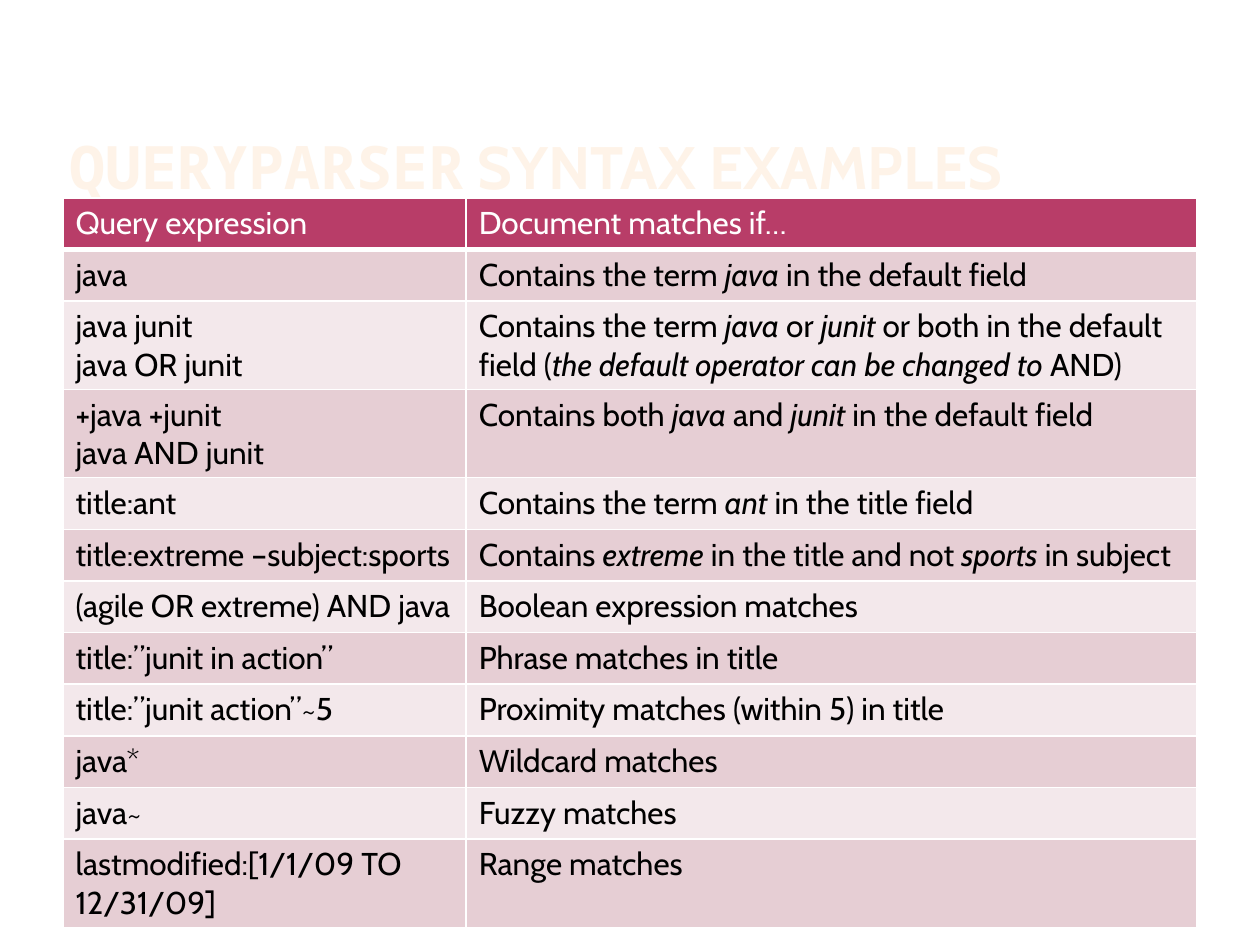
from pptx import Presentation
from pptx.dml.color import RGBColor
from pptx.enum.text import MSO_ANCHOR
from pptx.oxml import parse_xml
from pptx.oxml.ns import nsdecls
from pptx.util import Inches, Pt

WHITE = RGBColor(0xFF, 0xFF, 0xFF)
BLACK = RGBColor(0x00, 0x00, 0x00)
CREAM = RGBColor(0xFE, 0xF3, 0xE8)
BERRY = RGBColor(0xB8, 0x3D, 0x68)
ROSE = RGBColor(0xE6, 0xCE, 0xD4)
BLUSH = RGBColor(0xF3, 0xE8, 0xEB)

BODY_FONT = "Cabin"
CODE_FONT = "Noto Sans Mono"

# Underscores enclose italics, \n starts a paragraph, \v breaks a line
HEADINGS = ("Query expression", "Document matches if…")
EXAMPLES = [
    ("java", "Contains the term _java_ in the default field"),
    ("java junit\vjava OR junit",
     "Contains the term _java_ or _junit_ or both in the default field "
     "(_the default operator can be changed to _AND)"),
    ("+java +junit\njava AND junit",
     "Contains both _java_ and _junit_ in the default field"),
    ("title:ant", "Contains the term _ant_ in the title field"),
    ("title:extreme –subject:sports",
     "Contains _extreme_ in the title and not _sports_ in subject"),
    ("(agile OR extreme) AND java", "Boolean expression matches"),
    ("title:”junit in action”", "Phrase matches in title"),
    ("title:”junit action”~5", "Proximity matches (within 5) in title"),
    ("java*", "Wildcard matches"),
    ("java~", "Fuzzy matches"),
    ("lastmodified:[1/1/09 TO 12/31/09]", "Range matches"),
]


def add_span(para, text, font=BODY_FONT, size=18, color=BLACK, bold=False, italic=False):
    span = para.add_run()
    span.text = text
    span.font.name = font
    span.font.size = Pt(size)
    span.font.color.rgb = color
    span.font.bold = bold
    span.font.italic = italic


def write_text(frame, text, **style):
    """Write marked-up text into a frame."""
    for number, block in enumerate(text.split("\n")):
        para = frame.add_paragraph() if number else frame.paragraphs[0]
        for row, line in enumerate(block.split("\v")):
            if row:
                para.add_line_break()
            for index, part in enumerate(line.split("_")):
                if part:
                    add_span(para, part, italic=index % 2 == 1, **style)


class SlideBuilder:
    """Holds the deck and page; lengths are shares of the slide's size."""

    def __init__(self, width=10, height=7.5):
        self.deck = Presentation()
        self.deck.slide_width = Inches(width)
        self.deck.slide_height = Inches(height)
        self.page = self.deck.slides.add_slide(self.deck.slide_layouts[6])

    def across(self, share):
        return round(self.deck.slide_width * share)

    def down(self, share):
        return round(self.deck.slide_height * share)

    def title(self, spans, left, top, width, height, **style):
        box = self.page.shapes.add_textbox(
            self.across(left), self.down(top), self.across(width), self.down(height))
        frame = box.text_frame
        frame.word_wrap = True
        frame.vertical_anchor = MSO_ANCHOR.BOTTOM
        frame.margin_left = frame.margin_right = Inches(0.05)
        frame.margin_top = frame.margin_bottom = 0
        for text, font in spans:
            add_span(frame.paragraphs[0], text, font=font, **style)

    def table(self, rows, left, top, columns, row_height):
        table = self.page.shapes.add_table(
            len(rows), len(columns), self.across(left), self.down(top),
            self.across(sum(columns)), self.down(row_height * len(rows))).table
        for column, share in zip(table.columns, columns):
            column.width = self.across(share)
        for number, texts in enumerate(rows):
            header = number == 0
            fill = BERRY if header else (BLUSH, ROSE)[number % 2]
            for column, text in enumerate(texts):
                cell = table.cell(number, column)
                self.borders(cell, top=3 if number == 1 else 1, bottom=3 if header else 1)
                cell.fill.solid()
                cell.fill.fore_color.rgb = fill
                write_text(cell.text_frame, text, color=WHITE if header else BLACK)

    def borders(self, cell, top, bottom):
        properties = cell._tc.get_or_add_tcPr()
        for side, width in (("L", 1), ("R", 1), ("T", top), ("B", bottom)):
            properties.append(parse_xml(
                f'<a:ln{side} {nsdecls("a")} w="{Pt(width)}"><a:solidFill>'
                f'<a:srgbClr val="{WHITE}"/></a:solidFill></a:ln{side}>'))


def main():
    slide = SlideBuilder()
    # Title
    slide.title([("QUERYPARSER", CODE_FONT), (" SYNTAX EXAMPLES", BODY_FONT)],
                left=0.05, top=0.35 / 7.5, width=0.79, height=1.25 / 7.5,
                size=34.2, color=CREAM, bold=True)
    # Table of query examples
    slide.table([HEADINGS, *EXAMPLES], left=0.05, top=1.57 / 7.5,
                columns=(0.32, 0.58), row_height=0.41 / 7.5)
    slide.deck.save("out.pptx")


if __name__ == "__main__":
    main()
